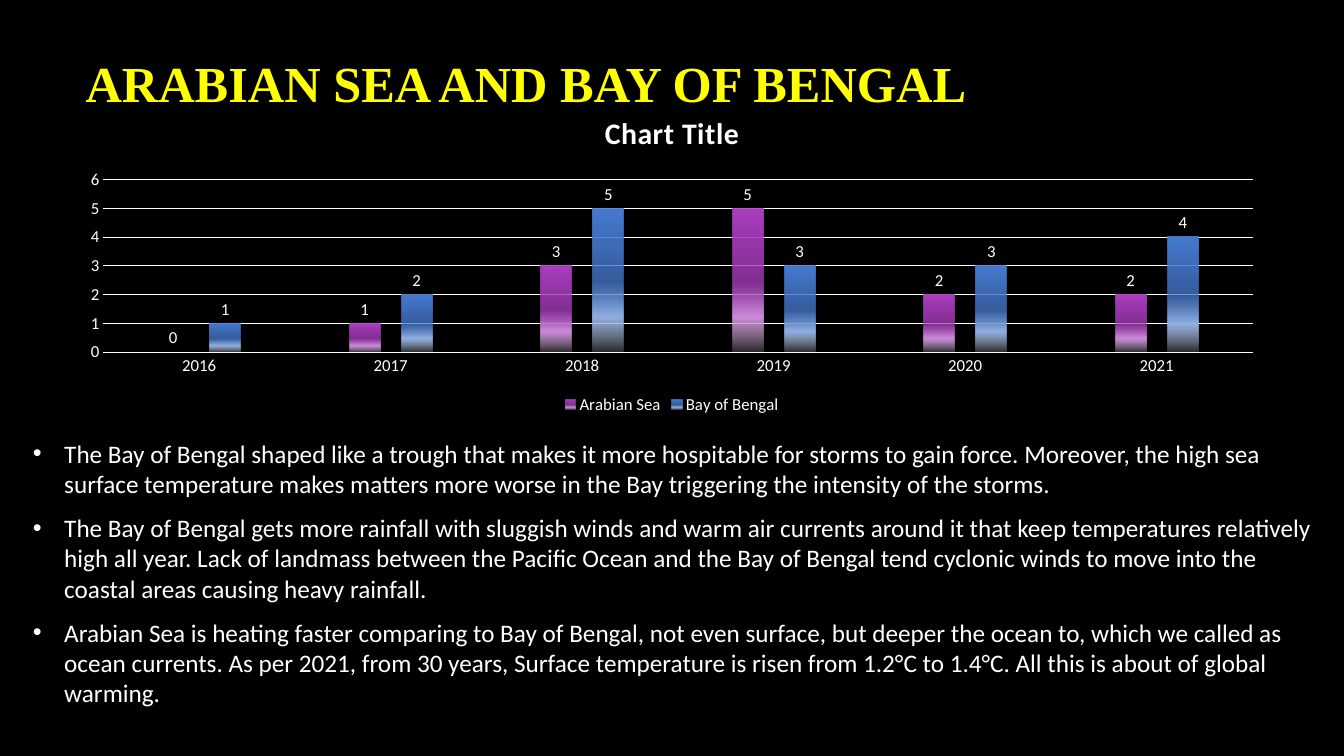
from pptx import Presentation
from pptx.chart.data import CategoryChartData
from pptx.dml.color import RGBColor
from pptx.enum.chart import (XL_CHART_TYPE as ChartType, XL_LABEL_POSITION as LabelPosition,
                             XL_LEGEND_POSITION as LegendPosition, XL_TICK_MARK as TickMark)
from pptx.enum.text import MSO_ANCHOR as Anchor
from pptx.oxml import parse_xml
from pptx.oxml.ns import nsdecls, qn
from pptx.util import Inches, Pt

COLORS = {"back": "000000", "text": "FFFFFF", "title": "FFFF00"}
COLUMNS, ROWS = 160, 90

# Each gradient stop: position and opacity in percent, colour
GRADIENTS = {
    "Arabian Sea": [(0, 100, "AC3EC1"), (51, 75, "AC3EC1"), (75, 100, "CD8BDA"), (100, 15, "EED8F3")],
    "Bay of Bengal": [(0, 100, "477BD1"), (51, 75, "477BD1"), (75, 100, "91B0E3"), (100, 15, "DAE5F6")],
}
YEARS = [str(year) for year in range(2016, 2022)]
STORMS = {"Arabian Sea": (0, 1, 3, 5, 2, 2), "Bay of Bengal": (1, 2, 5, 3, 3, 4)}
REMARKS = [
    "The Bay of Bengal shaped like a trough that makes it more hospitable for storms to gain force. "
    "Moreover, the high sea surface temperature makes matters more worse in the Bay triggering the "
    "intensity of the storms.",
    "The Bay of Bengal gets more rainfall with sluggish winds and warm air currents around it that keep "
    "temperatures relatively high all year. Lack of landmass between the Pacific Ocean and the Bay of "
    "Bengal tend cyclonic winds to move into the coastal areas causing heavy rainfall.",
    "Arabian Sea is heating faster comparing to Bay of Bengal, not even surface, but deeper the ocean to, "
    "which we called as ocean currents. As per 2021, from 30 years, Surface temperature is risen from "
    "1.2°C to 1.4°C. All this is about of global warming.",
]


def apply(target, **values):
    for name, value in values.items():
        setattr(target, name, value)


class SlideBuilder:
    def __init__(self, deck):
        self.deck = deck
        self.page = deck.slides.add_slide(deck.slide_layouts[6])
        self.paint(self.page.background.fill, "back")

    def paint(self, fill, color):
        fill.solid()
        fill.fore_color.rgb = RGBColor.from_string(COLORS[color])

    def area(self, left, top, width, height):
        """Turn grid columns and rows into slide lengths."""
        column, row = self.deck.slide_width / COLUMNS, self.deck.slide_height / ROWS
        return [round(n) for n in (left * column, top * row, width * column, height * row)]

    def style(self, font, color="text", **values):
        apply(font, **{"name": "Calibri", "size": Pt(12), "bold": False, **values})
        font.color.rgb = RGBColor.from_string(COLORS[color])

    def bullet(self, para):
        props = para._p.get_or_add_pPr()
        props.set("marL", str(Inches(0.31)))
        props.set("indent", str(Inches(-0.31)))
        for xml in (f'<a:buClr {nsdecls("a")}><a:srgbClr val="{COLORS["text"]}"/></a:buClr>',
                    f'<a:buFont {nsdecls("a")} typeface="Arial"/>',
                    f'<a:buChar {nsdecls("a")} char="•"/>'):
            props.append(parse_xml(xml))
        para.space_after = Pt(10)

    def text(self, area, lines, bulleted=False, **font):
        frame = self.page.shapes.add_textbox(*self.area(*area)).text_frame
        apply(frame, word_wrap=True, vertical_anchor=Anchor.MIDDLE)
        for index, line in enumerate(lines):
            para = frame.add_paragraph() if index else frame.paragraphs[0]
            if bulleted:
                self.bullet(para)
            span = para.add_run()
            span.text = line
            self.style(span.font, **font)

    def gradient(self, series, stops):
        marks = "".join(
            f'<a:gs pos="{place * 1000}"><a:srgbClr val="{color}">'
            f'<a:alpha val="{opacity * 1000}"/></a:srgbClr></a:gs>'
            for place, opacity, color in stops)
        series._element.get_or_add_spPr().append(parse_xml(
            f'<a:gradFill {nsdecls("a")}><a:gsLst>{marks}</a:gsLst><a:lin ang="5400000"/></a:gradFill>'))

    def place_plot(self, chart, **shares):
        """Fix the inner plot area as shares of the chart."""
        plot_area = chart._chartSpace.chart.plotArea
        for old in plot_area.findall(qn("c:layout")):
            plot_area.remove(old)
        sizes = "".join(f'<c:{key} val="{share}"/>' for key, share in shares.items())
        plot_area.insert(0, parse_xml(
            f'<c:layout {nsdecls("c")}><c:manualLayout><c:layoutTarget val="inner"/>'
            f'<c:xMode val="edge"/><c:yMode val="edge"/>{sizes}</c:manualLayout></c:layout>'))

    def rule(self, line):
        self.paint(line.fill, "text")
        line.width = Pt(0.75)

    def columns(self, area, title, categories, table):
        data = CategoryChartData(number_format="General")
        data.categories = categories
        for name, values in table.items():
            data.add_series(name, values)
        chart = self.page.shapes.add_chart(ChartType.COLUMN_CLUSTERED, *self.area(*area), data).chart
        self.style(chart.font, size=Pt(10))

        chart.has_title = True
        chart.chart_title.include_in_layout = False
        para = chart.chart_title.text_frame.paragraphs[0]
        span = para.add_run()
        span.text = title
        self.style(span.font, size=Pt(21.3), bold=True)
        span.font._element.set("spc", "50")

        chart.has_legend = True
        apply(chart.legend, position=LegendPosition.BOTTOM, include_in_layout=False)
        self.style(chart.legend.font)

        for axis in (chart.category_axis, chart.value_axis):
            apply(axis, major_tick_mark=TickMark.NONE, minor_tick_mark=TickMark.NONE)
            self.style(axis.tick_labels.font)
        self.rule(chart.category_axis.format.line)
        apply(chart.value_axis, minimum_scale=0, maximum_scale=6, major_unit=1)
        chart.value_axis.format.line.fill.background()
        self.rule(chart.value_axis.major_gridlines.format.line)

        plot = chart.plots[0]
        apply(plot, gap_width=355, overlap=-70, vary_by_categories=False)
        for series in plot.series:
            self.gradient(series, GRADIENTS[series.name])
            labels = series.data_labels
            apply(labels, show_value=True, position=LabelPosition.OUTSIDE_END)
            self.style(labels.font)
        self.place_plot(chart, x=0.03, y=0.26, w=0.95, h=0.535)


def main():
    deck = Presentation()
    apply(deck, slide_width=Inches(13.33), slide_height=Inches(7.5))
    slide = SlideBuilder(deck)
    slide.text((9, 0.25, 133, 19), ["ARABIAN SEA AND BAY OF BENGAL"],
               name="Times New Roman", size=Pt(36), bold=True, color="title")
    slide.columns((8, 11.4, 144, 38.4), "Chart Title", YEARS, STORMS)
    slide.text((2.75, 48.4, 155.2, 39.6), REMARKS, bulleted=True, size=Pt(18))
    deck.save("out.pptx")


if __name__ == "__main__":
    main()
